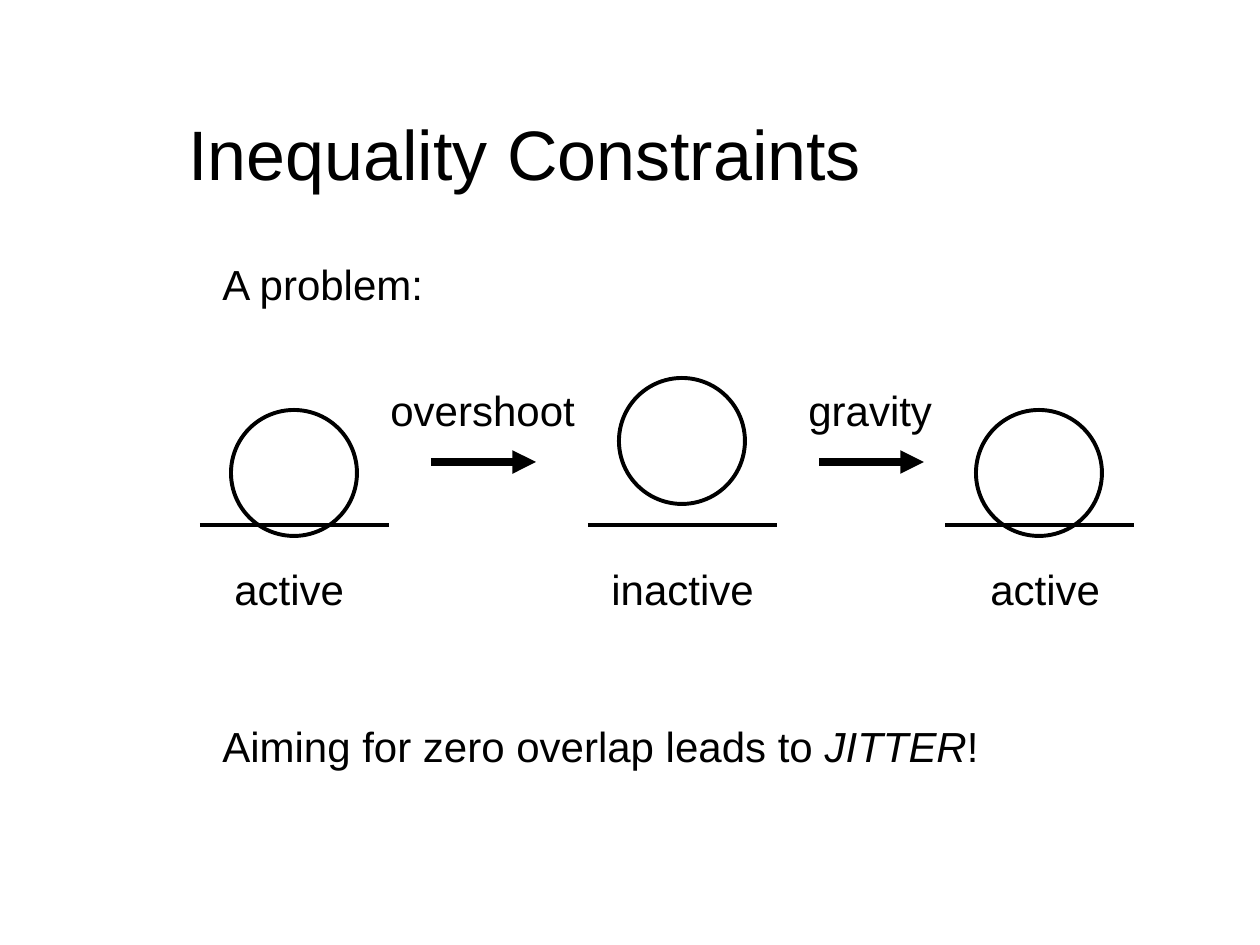
from lxml import etree
from pptx import Presentation
from pptx import util as u
from pptx.dml.color import RGBColor
from pptx.enum import shapes, text
from pptx.oxml.ns import qn

SCALE = 914400 / 126  # EMU per px
COLORS = {"ink": "000000", "paper": "FFFFFF"}
FONT = "Arial"

GROUND_Y, GROUND_WIDTH = 525, 189
BALL = 126
ARROW_Y, ARROW_LENGTH = 462, 105
ROW_HEIGHT = 63


def px(length):
    return u.Emu(round(length * SCALE))


def color(name):
    return RGBColor.from_string(COLORS[name])


def add_text(slide, content, left, top, width, height=ROW_HEIGHT, size=24,
             wrap=False, anchor=text.MSO_ANCHOR.TOP):
    """Add one paragraph; content is a string or a list of (string, italic)."""
    frame = slide.shapes.add_textbox(px(left), px(top), px(width), px(height)).text_frame
    frame.word_wrap = wrap
    # Unwrapped boxes grow with their text, so a line never breaks
    frame.auto_size = (text.MSO_AUTO_SIZE.NONE if wrap
                       else text.MSO_AUTO_SIZE.SHAPE_TO_FIT_TEXT)
    frame.vertical_anchor = anchor
    parts = [(content, False)] if isinstance(content, str) else content
    for words, italic in parts:
        run = frame.paragraphs[0].add_run()
        run.text = words
        run.font.name = FONT
        run.font.size = u.Pt(size)
        run.font.italic = italic
        run.font.color.rgb = color("ink")


def add_line(slide, left, y, length, weight, arrow=False):
    line = slide.shapes.add_connector(
        shapes.MSO_CONNECTOR.STRAIGHT, px(left), px(y), px(left + length), px(y))
    line.line.color.rgb = color("ink")
    line.line.width = u.Pt(weight)
    if arrow:
        etree.SubElement(line.line._get_or_add_ln(), qn("a:tailEnd"), type="triangle")
    etree.SubElement(line._element.spPr, qn("a:effectLst"))


def add_ball(slide, left, top):
    ball = slide.shapes.add_shape(
        shapes.MSO_SHAPE.OVAL, px(left), px(top), px(BALL), px(BALL))
    ball.shadow.inherit = False
    ball.fill.background()
    ball.line.color.rgb = color("ink")
    ball.line.width = u.Pt(2.25)


def add_state(slide, ground_left, ball_top, label, label_left, label_width):
    add_line(slide, ground_left, GROUND_Y, GROUND_WIDTH, 2.25)
    add_ball(slide, ground_left + (GROUND_WIDTH - BALL) // 2, ball_top)
    add_text(slide, label, label_left, 557, label_width)


def add_transition(slide, arrow_left, label, label_left, label_width):
    add_line(slide, arrow_left, ARROW_Y, ARROW_LENGTH, 4.5, arrow=True)
    add_text(slide, label, label_left, 378, label_width)


def main():
    deck = Presentation()
    deck.slide_width, deck.slide_height = px(1260), px(945)
    slide = deck.slides.add_slide(deck.slide_layouts[6])
    slide.background.fill.solid()
    slide.background.fill.fore_color.rgb = color("paper")

    # Title and introduction
    add_text(slide, "Inequality Constraints", 176, 53, 977, 199, size=40,
             wrap=True, anchor=text.MSO_ANCHOR.MIDDLE)
    add_text(slide, "A problem:", 210, 252, 228)

    # Ball states: ground left, ball top, label, label left, label width
    for state in ((200, 410, "active", 222, 135),
                  (588, 378, "inactive", 599, 168),
                  (945, 410, "active", 978, 135)):
        add_state(slide, *state)

    # Transitions: arrow left, label, label left, label width
    for transition in ((431, "overshoot", 378, 210),
                       (819, "gravity", 796, 149)):
        add_transition(slide, *transition)

    # Conclusion
    add_text(slide, [("Aiming for zero overlap leads to ", False),
                     ("JITTER", True), ("!", False)], 210, 714, 782)

    deck.save("out.pptx")


if __name__ == "__main__":
    main()
